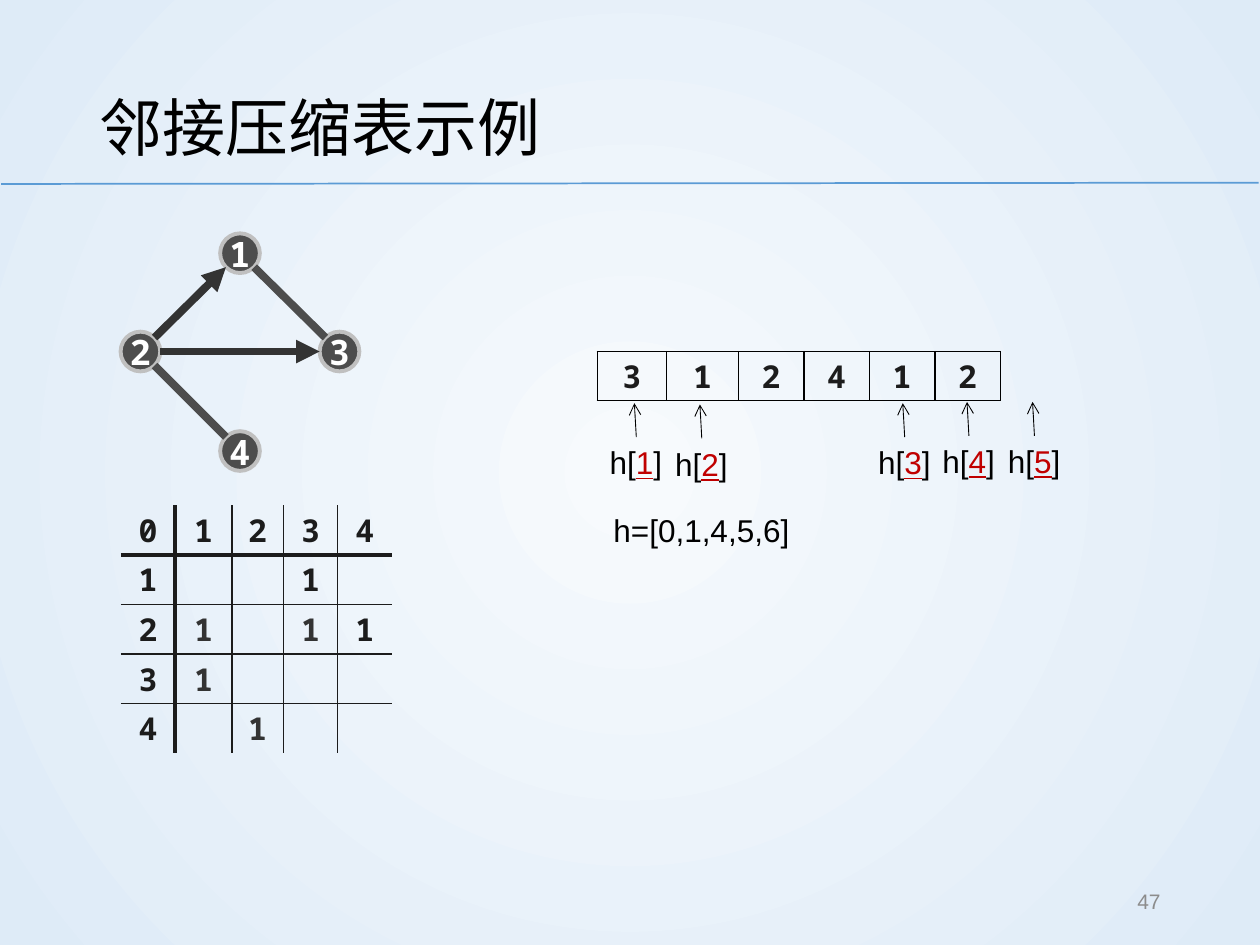
import math

import lxml.etree
import pptx
import pptx.dml.color
import pptx.enum.shapes
import pptx.enum.text
import pptx.oxml.ns
import pptx.util

RGBColor = pptx.dml.color.RGBColor
BLACK = RGBColor(0x00, 0x00, 0x00)
WHITE = RGBColor(0xFF, 0xFF, 0xFF)
INK = RGBColor(0x1C, 0x1C, 0x1C)
CHARCOAL = RGBColor(0x33, 0x33, 0x33)
NODE_GRAY = RGBColor(0x4D, 0x4D, 0x4D)
RING_GRAY = RGBColor(0xC0, 0xC0, 0xC0)
NUMBER_GRAY = RGBColor(0x8C, 0x8C, 0x8C)
RED = RGBColor(0xC0, 0x00, 0x00)
RULE_BLUE = RGBColor(0x5B, 0x9B, 0xD5)
GLOW = RGBColor(0xF7, 0xFA, 0xFD)
SKY = RGBColor(0xDE, 0xEB, 0xF7)

SLIDE_WIDTH = pptx.util.Inches(10)
SLIDE_HEIGHT = pptx.util.Inches(7.5)
GRID_COLUMNS, GRID_ROWS = 100, 75

MIDDLE = pptx.enum.text.MSO_ANCHOR.MIDDLE
CENTER = pptx.enum.text.PP_ALIGN.CENTER
RIGHT = pptx.enum.text.PP_ALIGN.RIGHT
MARGINS = ("margin_left", "margin_top", "margin_right", "margin_bottom")

BODY = {"name": "Arial", "size": pptx.util.Pt(18)}
TITLE = {"name": "Arial", "size": pptx.util.Pt(36)}
PAGE_NUMBER = {"name": "Arial", "size": pptx.util.Pt(12)}
CELL = {"name": "Noto Sans Mono", "size": pptx.util.Pt(18), "bold": True}
NODE = {"name": "Noto Sans Mono", "size": pptx.util.Pt(20), "bold": True}

NODE_SIZE = 3.15
NODES = {"1": (19.05, 20.1), "2": (11.15, 27.9), "3": (26.95, 27.9), "4": (19.05, 35.8)}
EDGES = [("3", "1", NODE_GRAY, None), ("4", "2", NODE_GRAY, None),
         ("2", "3", CHARCOAL, "triangle"), ("2", "1", CHARCOAL, "triangle")]
MATRIX = ["01234", "1  1 ", "21 11", "31   ", "4 1  "]
NEIGHBORS = ["312412"]
POINTERS = [("1", 47.4, 34.7), ("2", 52.6, 34.8), ("3", 68.7, 34.7),
            ("4", 73.8, 34.6), ("5", 79.0, 34.6)]


def across(columns):
    return round(SLIDE_WIDTH * columns / GRID_COLUMNS)


def down(rows):
    return round(SLIDE_HEIGHT * rows / GRID_ROWS)


def box(left, top, width, height):
    return across(left), down(top), across(width), down(height)


def apply(target, values):
    for name, value in values.items():
        setattr(target, name, value)


def append_xml(parent, tag, **attributes):
    return lxml.etree.SubElement(parent, pptx.oxml.ns.qn(tag), attributes)


def write(paragraph, text, color, values):
    run = paragraph.add_run()
    run.text = text
    apply(run.font, values)
    run.font.color.rgb = color


def paint_background(slide):
    fill = slide.background.fill
    fill.gradient()
    for stop, color, position in zip(fill.gradient_stops, (GLOW, SKY), (0, 1)):
        stop.color.rgb = color
        stop.position = position
    gradient = next(slide.element.iter(pptx.oxml.ns.qn("a:gradFill")))
    for linear in gradient.findall(pptx.oxml.ns.qn("a:lin")):
        gradient.remove(linear)
    circle = append_xml(gradient, "a:path", path="circle")
    append_xml(circle, "a:fillToRect", l="50000", t="50000", r="50000", b="50000")


def add_text(shapes, area, runs, values, frame_values=None, paragraph_values=None):
    frame = shapes.add_textbox(*box(*area)).text_frame
    apply(frame, {"word_wrap": False, **(frame_values or {})})
    paragraph = frame.paragraphs[0]
    apply(paragraph, paragraph_values or {})
    for text, color, extra in runs:
        write(paragraph, text, color, {**values, **extra})


def add_line(shapes, start, end, color, width, head=None):
    connector = shapes.add_connector(
        pptx.enum.shapes.MSO_CONNECTOR.STRAIGHT,
        across(start[0]), down(start[1]), across(end[0]), down(end[1]))
    connector.line.color.rgb = color
    connector.line.width = pptx.util.Pt(width)
    if head:
        append_xml(connector.line._get_or_add_ln(), "a:tailEnd", type=head)
    append_xml(connector._element.spPr, "a:effectLst")


def add_node(shapes, label, center):
    left, top = (value - NODE_SIZE / 2 for value in center)
    shape = shapes.add_shape(pptx.enum.shapes.MSO_SHAPE.OVAL,
                             *box(left, top, NODE_SIZE, NODE_SIZE))
    shape.shadow.inherit = False
    shape.fill.solid()
    shape.fill.fore_color.rgb = NODE_GRAY
    shape.line.color.rgb = RING_GRAY
    shape.line.width = pptx.util.Pt(2.25)
    frame = shape.text_frame
    apply(frame, {"word_wrap": False, "vertical_anchor": MIDDLE})
    apply(frame, dict.fromkeys(MARGINS, pptx.util.Inches(0.04)))
    frame.paragraphs[0].alignment = CENTER
    write(frame.paragraphs[0], label, WHITE, NODE)


def add_edge(shapes, origin, target, color, head):
    (x1, y1), (x2, y2) = NODES[origin], NODES[target]
    share = NODE_SIZE / 2 / math.hypot(x2 - x1, y2 - y1)
    dx, dy = (x2 - x1) * share, (y2 - y1) * share
    add_line(shapes, (x1 + dx, y1 + dy), (x2 - dx, y2 - dy), color, 4.5, head)


def set_borders(cell, widths, color):
    properties = cell._tc.get_or_add_tcPr()
    for side, width in zip("LRTB", widths):
        line = append_xml(properties, f"a:ln{side}", w=str(pptx.util.Pt(width)))
        if width:
            fill = append_xml(line, "a:solidFill")
            append_xml(fill, "a:srgbClr", val=str(color))
        else:
            append_xml(line, "a:noFill")


def add_grid(shapes, left, top, widths, heights, texts, border_widths, border_color, text_color):
    area = box(left, top, sum(widths), sum(heights))
    table = shapes.add_table(len(heights), len(widths), *area).table
    apply(table, {"first_row": False, "horz_banding": False})
    for column, width in zip(table.columns, widths):
        column.width = across(width)
    for row, height in zip(table.rows, heights):
        row.height = down(height)
    for row, line in enumerate(texts):
        for column, text in enumerate(line):
            cell = table.cell(row, column)
            apply(cell, {"vertical_anchor": MIDDLE, **dict.fromkeys(MARGINS, 0)})
            set_borders(cell, border_widths(row, column), border_color)
            cell.fill.background()
            paragraph = cell.text_frame.paragraphs[0]
            paragraph.alignment = CENTER
            if text.strip():
                write(paragraph, text, text_color(row, column), CELL)


def matrix_borders(row, column):
    rules = [0, 2.25, 1, 1, 1, 0]
    return rules[column], rules[column + 1], rules[row], rules[row + 1]


def matrix_color(row, column):
    return CHARCOAL if row > 1 and 0 < column < 4 else INK


def add_pointer(shapes, index, left, top):
    group = shapes.add_group_shape().shapes
    add_text(group, (left, top, 6.2, 4),
             [("h[", BLACK, {}), (index, RED, {"underline": True}), ("]", BLACK, {})], BODY)
    add_line(group, (left + 3.1, top), (left + 2.95, top - 2.7), BLACK, 0.5, "arrow")


def main():
    presentation = pptx.Presentation()
    apply(presentation, {"slide_width": SLIDE_WIDTH, "slide_height": SLIDE_HEIGHT})
    slide = presentation.slides.add_slide(presentation.slide_layouts[6])
    shapes = slide.shapes
    paint_background(slide)
    add_line(shapes, (0.1, 14.6), (99.9, 14.5), RULE_BLUE, 1)
    add_text(shapes, (6.9, 4, 86.2, 10.8), [("邻接压缩表示例", BLACK, {})], TITLE,
             {"vertical_anchor": MIDDLE, "word_wrap": True}, {"line_spacing": 1.2})
    add_text(shapes, (70.6, 69.5, 22.5, 4), [("47", NUMBER_GRAY, {})], PAGE_NUMBER,
             {"vertical_anchor": MIDDLE, "word_wrap": True}, {"alignment": RIGHT})
    for label, center in NODES.items():
        add_node(shapes, label, center)
    for edge in EDGES:
        add_edge(shapes, *edge)
    add_grid(shapes, 9.6, 40.1, [4.3, 4.5, 4.1, 4.3, 4.3], [3.94] * 5, MATRIX,
             matrix_borders, INK, matrix_color)
    add_grid(shapes, 47.4, 27.9, [5.5, 5.7] + [5.2] * 4, [3.9], NEIGHBORS,
             lambda row, column: (1, 1, 1, 1), BLACK, lambda row, column: INK)
    for pointer in POINTERS:
        add_pointer(shapes, *pointer)
    add_text(shapes, (47.7, 40.1, 16, 4), [("h=[0,1,4,5,6]", BLACK, {})], BODY)
    presentation.save("out.pptx")


if __name__ == "__main__":
    main()
